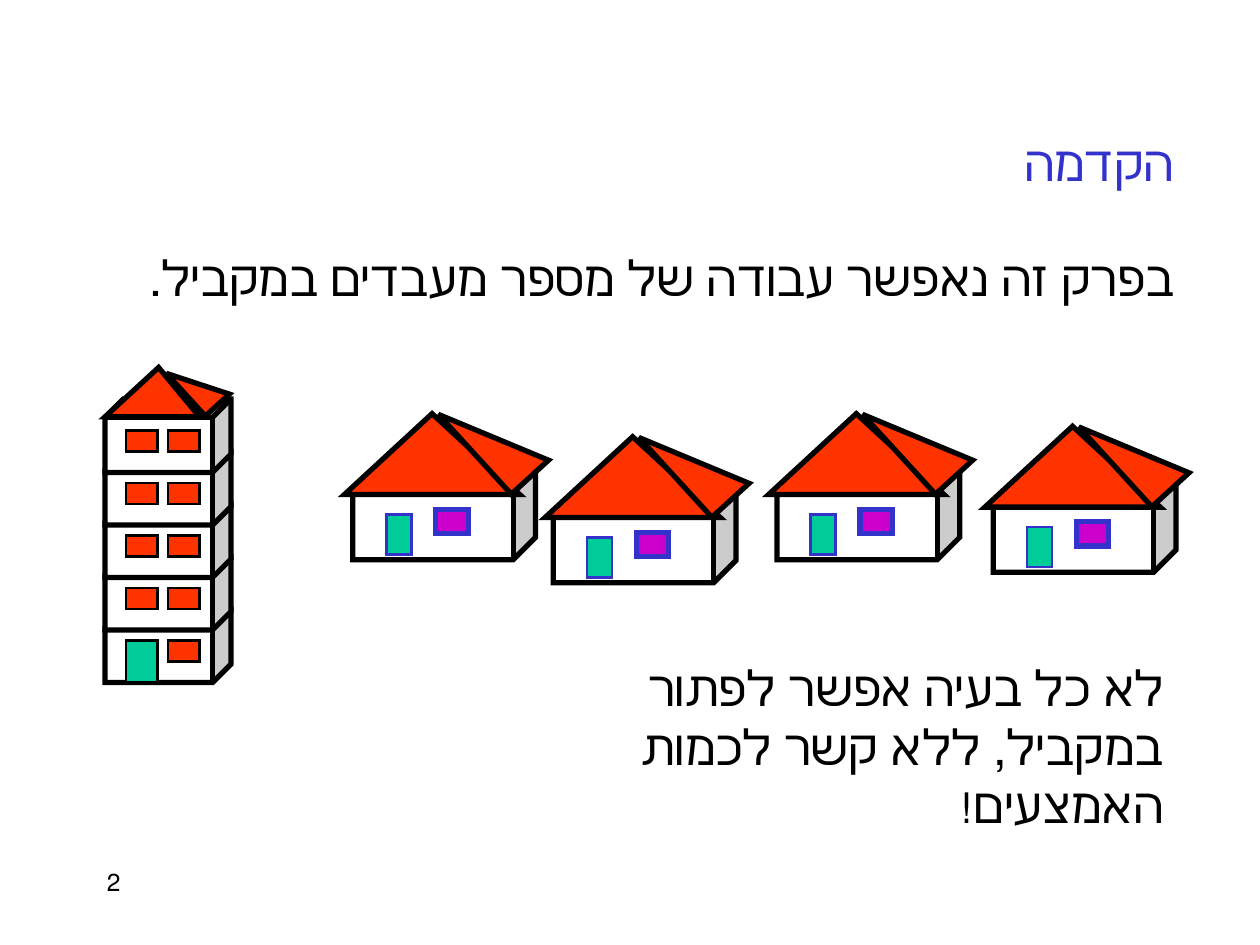
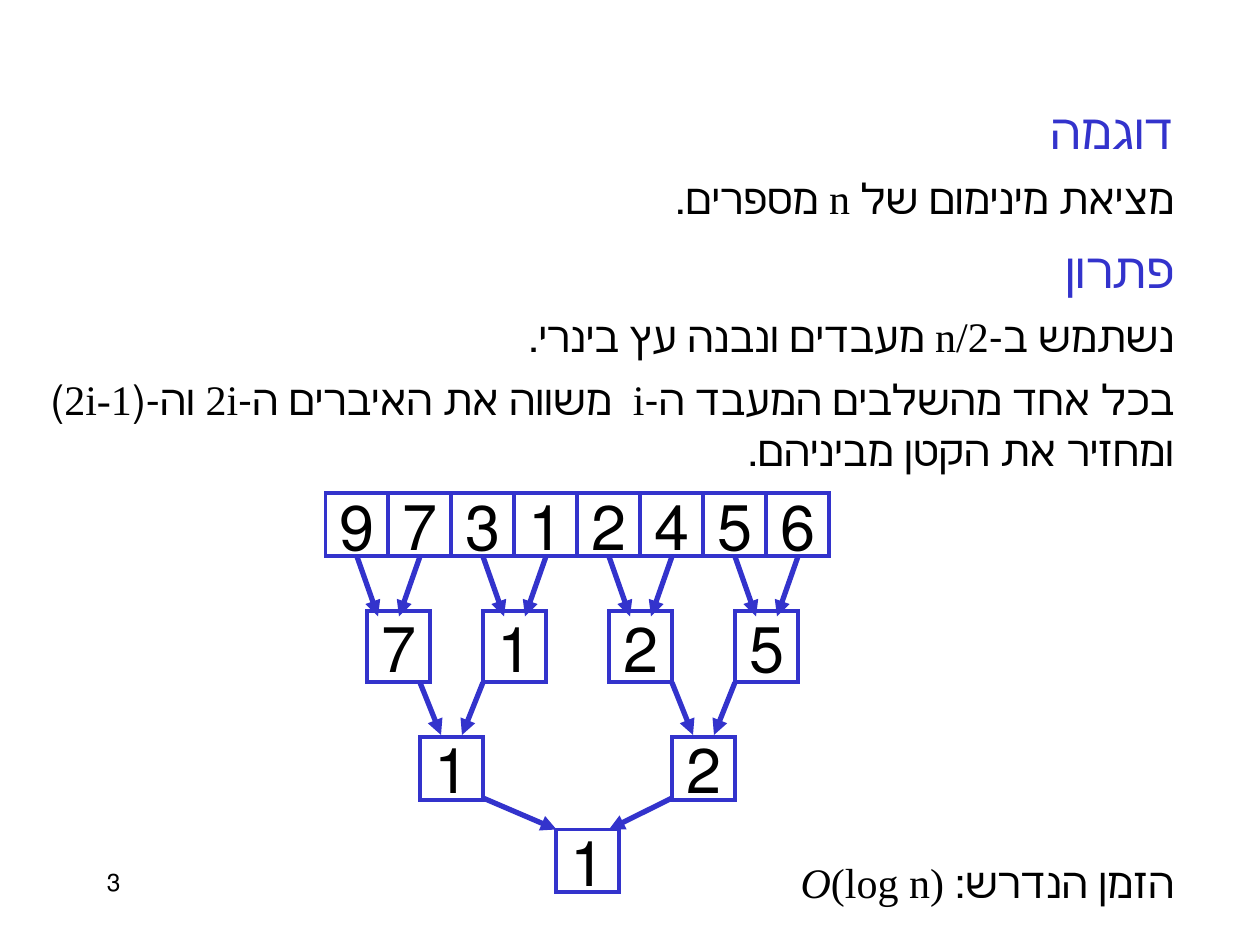
from dataclasses import dataclass

from lxml.etree import SubElement
from pptx import Presentation
from pptx.dml.color import RGBColor
from pptx.enum.shapes import MSO_CONNECTOR, MSO_SHAPE as Preset
from pptx.enum.text import MSO_ANCHOR, MSO_AUTO_SIZE, PP_ALIGN as Align
from pptx.oxml.ns import qn
from pptx.util import Pt

PX = 7620
FONT = "Times New Roman"
COLORS = {
    "ink": "000000",
    "paper": "FFFFFF",
    "blue": "3333CC",
    "roof": "FF3300",
    "door": "00CC99",
    "pane": "CC00CC",
}


@dataclass(frozen=True)
class Part:
    """A piece of a building, placed relative to the building's corner."""

    preset: Preset
    left: int
    top: int
    width: int
    height: int
    fill: str
    line: str = "ink"
    weight: float = 3
    adjust: float | None = None
    rotation: float = 0


@dataclass(frozen=True)
class Piece:
    """A stretch of text with one size and slant."""

    text: str
    size: int
    italic: bool = False


@dataclass(frozen=True)
class Line:
    """A right-to-left text block."""

    left: int
    top: int
    width: int
    height: int
    pieces: tuple[Piece, ...]
    color: str = "ink"
    align: Align = Align.RIGHT


@dataclass(frozen=True)
class Level:
    """A row of the minimum tree and the arrows that lead into it."""

    top: int
    height: int
    lefts: tuple[int, ...]
    arrow_starts: tuple[int, ...] = ()
    arrow_ends: tuple[int, ...] = ()
    arrow_top: int = 0
    arrow_bottom: int = 0


HOUSE = (
    Part(Preset.CUBE, 0, 0, 174, 85, "paper", adjust=0.25),
    Part(Preset.ISOSCELES_TRIANGLE, -8, -54, 167, 77, "roof", adjust=0.5),
    Part(Preset.ISOSCELES_TRIANGLE, 110, -83, 48, 103, "roof", adjust=0, rotation=317.6),
    Part(Preset.RECTANGLE, 32, 42, 24, 38, "door", "blue", 1.5),
    Part(Preset.RECTANGLE, 79, 37, 31, 23, "pane", "blue"),
)
HOUSE_CORNERS = ((336, 448), (527, 470), (740, 448), (946, 460))

FLOORS = range(5)
FLOOR_STEP = 50
TOWER = (
    *(Part(Preset.CUBE, 0, -FLOOR_STEP * floor, 120, 70, "paper", adjust=0.25) for floor in FLOORS),
    Part(Preset.RECTANGLE, 20, 30, 30, 40, "door", weight=1.5),
    *(
        Part(Preset.RECTANGLE, left, 30 - FLOOR_STEP * floor, 30, 20, "roof", weight=1.5)
        for left, floors in ((60, FLOORS), (20, FLOORS[1:]))
        for floor in floors
    ),
    Part(Preset.ISOSCELES_TRIANGLE, 0, -230, 90, 47, "roof", adjust=0.567),
    Part(Preset.ISOSCELES_TRIANGLE, 73, -242, 31, 55, "roof", adjust=0, rotation=317.6),
)
TOWER_CORNER = (100, 580)

NUMBERS = (9, 7, 3, 1, 2, 4, 5, 6)
CELL = 60
LEVELS = (
    Level(470, 60, tuple(310 + CELL * i for i in range(8))),
    Level(
        582, 68, (350, 460, 580, 700),
        tuple(340 + CELL * i for i in range(8)),
        tuple(360 + 120 * pair + shift for pair in range(4) for shift in (0, 20)),
        530, 587,
    ),
    Level(702, 60, (400, 640), (400, 460, 640, 700), (420, 440, 660, 680), 650, 700),
    Level(790, 60, (530,), (460, 640), (530, 580), 760, 790),
)


def body_line(top: int, height: int, text: str, size: int, color: str = "ink") -> Line:
    """Describe a full-width line of text."""
    return Line(10, top, 1120, height, (Piece(text, size),), color)


def heading(top: int, text: str) -> Line:
    """Describe a blue heading."""
    return body_line(top, 68, text, 28, "blue")


INTRO_LINES = (
    heading(120, "הקדמה"),
    body_line(230, 68, "בפרק זה נאפשר עבודה של מספר מעבדים במקביל.", 28),
    Line(510, 620, 610, 124, (
        Piece("לא כל בעיה אפשר לפתור במקביל, ללא קשר לכמות האמצעים", 28),
        Piece("!", 24),
    )),
)
EXAMPLE_LINES = (
    heading(90, "דוגמה"),
    body_line(158, 60, "מציאת מינימום של n מספרים.", 24),
    heading(222, "פתרון"),
    body_line(290, 60, "נשתמש ב-n/2 מעבדים ונבנה עץ בינרי.", 24),
    body_line(350, 108, "בכל אחד מהשלבים המעבד ה-i  משווה את האיברים ה-2i וה-(2i-1) ומחזיר את הקטן מביניהם.", 24),
    Line(750, 810, 380, 60, (
        Piece("הזמן הנדרש: ", 24),
        Piece("O", 24, italic=True),
        Piece("(log n)", 24),
    )),
)


def rgb(name: str) -> RGBColor:
    """Look up a colour by its name."""
    return RGBColor.from_string(COLORS[name])


def style_run(run, size: int, color: str = "ink", italic: bool = False) -> None:
    """Set the font of a run."""
    run.font.name = FONT
    run.font.size = Pt(size)
    run.font.italic = italic
    run.font.color.rgb = rgb(color)


def set_direction(paragraph, align: Align) -> None:
    """Make a paragraph read right to left."""
    paragraph.alignment = align
    paragraph._p.get_or_add_pPr().set("rtl", "1")


def draw_line(slide, line: Line) -> None:
    """Draw a text block."""
    box = slide.shapes.add_textbox(line.left * PX, line.top * PX, line.width * PX, line.height * PX)
    frame = box.text_frame
    frame.word_wrap = True
    frame.auto_size = MSO_AUTO_SIZE.SHAPE_TO_FIT_TEXT
    paragraph = frame.paragraphs[0]
    set_direction(paragraph, line.align)
    for piece in line.pieces:
        run = paragraph.add_run()
        run.text = piece.text
        style_run(run, piece.size, line.color, piece.italic)


def draw_part(slide, part: Part, corner: tuple[int, int] = (0, 0)):
    """Draw a filled, outlined shape and return it."""
    left, top = corner
    shape = slide.shapes.add_shape(
        part.preset, (left + part.left) * PX, (top + part.top) * PX, part.width * PX, part.height * PX
    )
    shape.shadow.inherit = False
    shape.rotation = part.rotation
    if part.adjust is not None:
        shape.adjustments[0] = part.adjust
    shape.fill.solid()
    shape.fill.fore_color.rgb = rgb(part.fill)
    shape.line.color.rgb = rgb(part.line)
    shape.line.width = Pt(part.weight)
    outline = shape._element.spPr.find(qn("a:ln"))
    SubElement(outline, qn("a:miter"), lim="800000")
    return shape


def draw_cell(slide, left: int, level: Level, number: int) -> None:
    """Draw a numbered cell of the tree."""
    part = Part(Preset.RECTANGLE, left, level.top, CELL, level.height, "paper", "blue", 2.25)
    frame = draw_part(slide, part).text_frame
    frame.word_wrap = False
    frame.vertical_anchor = MSO_ANCHOR.MIDDLE
    frame.text = str(number)
    paragraph = frame.paragraphs[0]
    set_direction(paragraph, Align.CENTER)
    style_run(paragraph.runs[0], 36)


def draw_arrow(slide, start: tuple[int, int], end: tuple[int, int]) -> None:
    """Draw a blue arrow."""
    points = [length * PX for length in (*start, *end)]
    arrow = slide.shapes.add_connector(MSO_CONNECTOR.STRAIGHT, *points)
    arrow.line.color.rgb = rgb("blue")
    arrow.line.width = Pt(3)
    properties = arrow._element.spPr
    SubElement(properties.find(qn("a:ln")), qn("a:tailEnd"), type="triangle")
    SubElement(properties, qn("a:effectLst"))


def draw_tree(slide) -> None:
    """Draw each level as the minimum of the pairs above it."""
    numbers = NUMBERS
    for level in LEVELS:
        if level.arrow_starts:
            numbers = tuple(map(min, numbers[::2], numbers[1::2]))
        for left, number in zip(level.lefts, numbers):
            draw_cell(slide, left, level, number)
        for start, end in zip(level.arrow_starts, level.arrow_ends):
            draw_arrow(slide, (start, level.arrow_top), (end, level.arrow_bottom))


def add_page(deck, number: int, lines: tuple[Line, ...]):
    """Add a slide with its page number and text."""
    slide = deck.slides.add_slide(deck.slide_layouts[6])
    page_number = Line(90, 820, 250, 60, (Piece(str(number), 14),), align=Align.LEFT)
    for line in (page_number, *lines):
        draw_line(slide, line)
    return slide


def main() -> None:
    """Build the deck."""
    deck = Presentation()
    deck.slide_width, deck.slide_height = 1200 * PX, 900 * PX
    intro = add_page(deck, 2, INTRO_LINES)
    buildings = [(HOUSE, corner) for corner in HOUSE_CORNERS] + [(TOWER, TOWER_CORNER)]
    for parts, corner in buildings:
        for part in parts:
            draw_part(intro, part, corner)
    draw_tree(add_page(deck, 3, EXAMPLE_LINES))
    deck.save("out.pptx")


if __name__ == "__main__":
    main()
